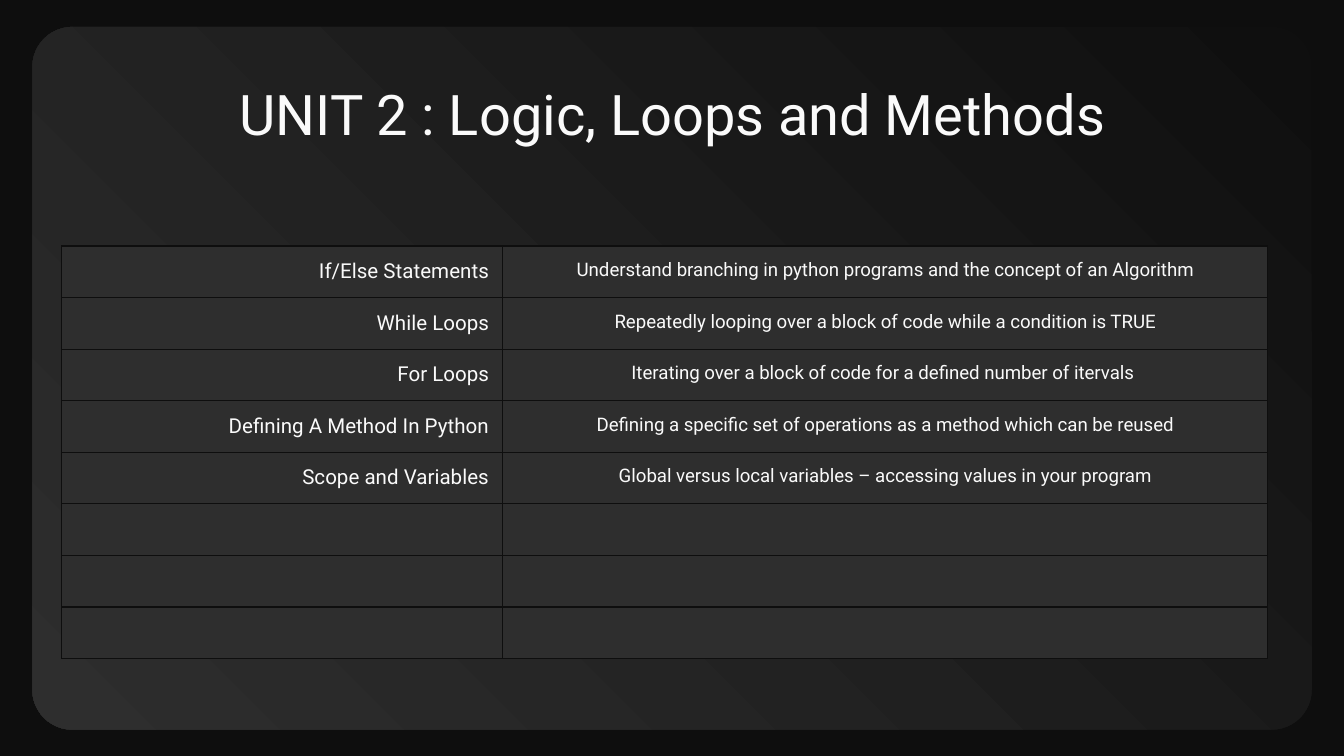
from typing import NamedTuple

from lxml.etree import SubElement
from pptx import Presentation
from pptx.dml.color import RGBColor
from pptx.enum.shapes import MSO_SHAPE
from pptx.enum.text import MSO_ANCHOR, PP_ALIGN
from pptx.oxml.ns import qn
from pptx.slide import Slide
from pptx.table import _Cell
from pptx.text.text import TextFrame
from pptx.util import Inches, Pt

HUES = {"back": "0E0E0E", "dark": "0F0F0F", "cell": "2E2E2E", "text": "FAFAFA"}
FONT = "Roboto"
PAD = Inches(0.1)
ROWS = 8


class Topic(NamedTuple):
    name: str
    goal: str
    after: int = 16


class Column(NamedTuple):
    width: float
    size: int
    align: PP_ALIGN


TOPICS = [
    Topic("If/Else Statements",
          "Understand branching in python programs and the concept of an Algorithm"),
    Topic("While Loops",
          "Repeatedly looping over a block of code while a condition is TRUE"),
    Topic("For Loops",
          "Iterating over a block of code for a defined number of itervals "),
    Topic("Defining A Method In Python",
          "Defining a specific set of operations as a method which can be reused"),
    Topic("Scope and Variables",
          "Global versus local variables – accessing values in your program", 0),
]
COLUMNS = [Column(3.28, 11, PP_ALIGN.RIGHT), Column(5.69, 10, PP_ALIGN.CENTER)]


def color(name: str) -> RGBColor:
    return RGBColor.from_string(HUES[name])


def write(frame: TextFrame, text: str, size: int, align: PP_ALIGN) -> None:
    para = frame.paragraphs[0]
    para.text = text
    para.alignment = align
    for run in para.runs:
        run.font.name = FONT
        run.font.size = Pt(size)
        run.font.color.rgb = color("text")


def add_panel(slide: Slide) -> None:
    panel = slide.shapes.add_shape(
        MSO_SHAPE.ROUNDED_RECTANGLE,
        Inches(0.24), Inches(0.2), Inches(9.52), Inches(5.23))
    panel.adjustments[0] = 0.057
    panel.shadow.inherit = False
    panel.line.fill.background()
    panel.fill.gradient()
    panel.fill.gradient_angle = 225
    for stop, name, place in zip(panel.fill.gradient_stops, ("dark", "cell"), (0, 1)):
        stop.color.rgb = color(name)
        stop.position = place


def add_title(slide: Slide, text: str) -> None:
    box = slide.shapes.add_textbox(
        Inches(0.79), Inches(0.49), Inches(8.43), Inches(0.63))
    frame = box.text_frame
    frame.word_wrap = True
    frame.vertical_anchor = MSO_ANCHOR.TOP
    frame.margin_left = frame.margin_right = PAD
    frame.margin_top = frame.margin_bottom = PAD
    write(frame, text, 30, PP_ALIGN.CENTER)


def add_edges(cell: _Cell) -> None:
    props = cell._tc.get_or_add_tcPr()
    for side in ("lnL", "lnR", "lnT", "lnB"):
        edge = SubElement(props, qn(f"a:{side}"), w=str(Pt(0.75)))
        fill = SubElement(edge, qn("a:solidFill"))
        SubElement(fill, qn("a:srgbClr"), val=HUES["back"])


def fill_cell(cell: _Cell, text: str, col: Column, after: int) -> None:
    cell.margin_left = cell.margin_right = PAD
    cell.margin_top = cell.margin_bottom = PAD
    cell.vertical_anchor = MSO_ANCHOR.TOP
    add_edges(cell)
    cell.fill.solid()
    cell.fill.fore_color.rgb = color("cell")
    write(cell.text_frame, text, col.size, col.align)
    para = cell.text_frame.paragraphs[0]
    if after:
        para.space_after = Pt(after)
    if not text:
        SubElement(para._p, qn("a:endParaRPr"), sz=str(col.size * 100))


def add_topics(slide: Slide) -> None:
    width = sum(col.width for col in COLUMNS)
    table = slide.shapes.add_table(
        ROWS, len(COLUMNS), Inches(0.46), Inches(1.83),
        Inches(width), Inches(3.07)).table
    table.first_row = table.horz_banding = False
    blanks = [Topic("", "", 0)] * (ROWS - len(TOPICS))
    for num, col in enumerate(COLUMNS):
        table.columns[num].width = Inches(col.width)
        for row, topic in enumerate(TOPICS + blanks):
            fill_cell(table.cell(row, num), topic[num], col, topic.after * num)


def main() -> None:
    """Build the unit overview slide."""
    deck = Presentation()
    deck.slide_width = Inches(10)
    deck.slide_height = deck.slide_width * 9 // 16
    slide = deck.slides.add_slide(deck.slide_layouts[6])
    slide.background.fill.solid()
    slide.background.fill.fore_color.rgb = color("back")
    add_panel(slide)
    add_title(slide, "UNIT 2 : Logic, Loops and Methods")
    add_topics(slide)
    deck.save("out.pptx")


if __name__ == "__main__":
    main()
